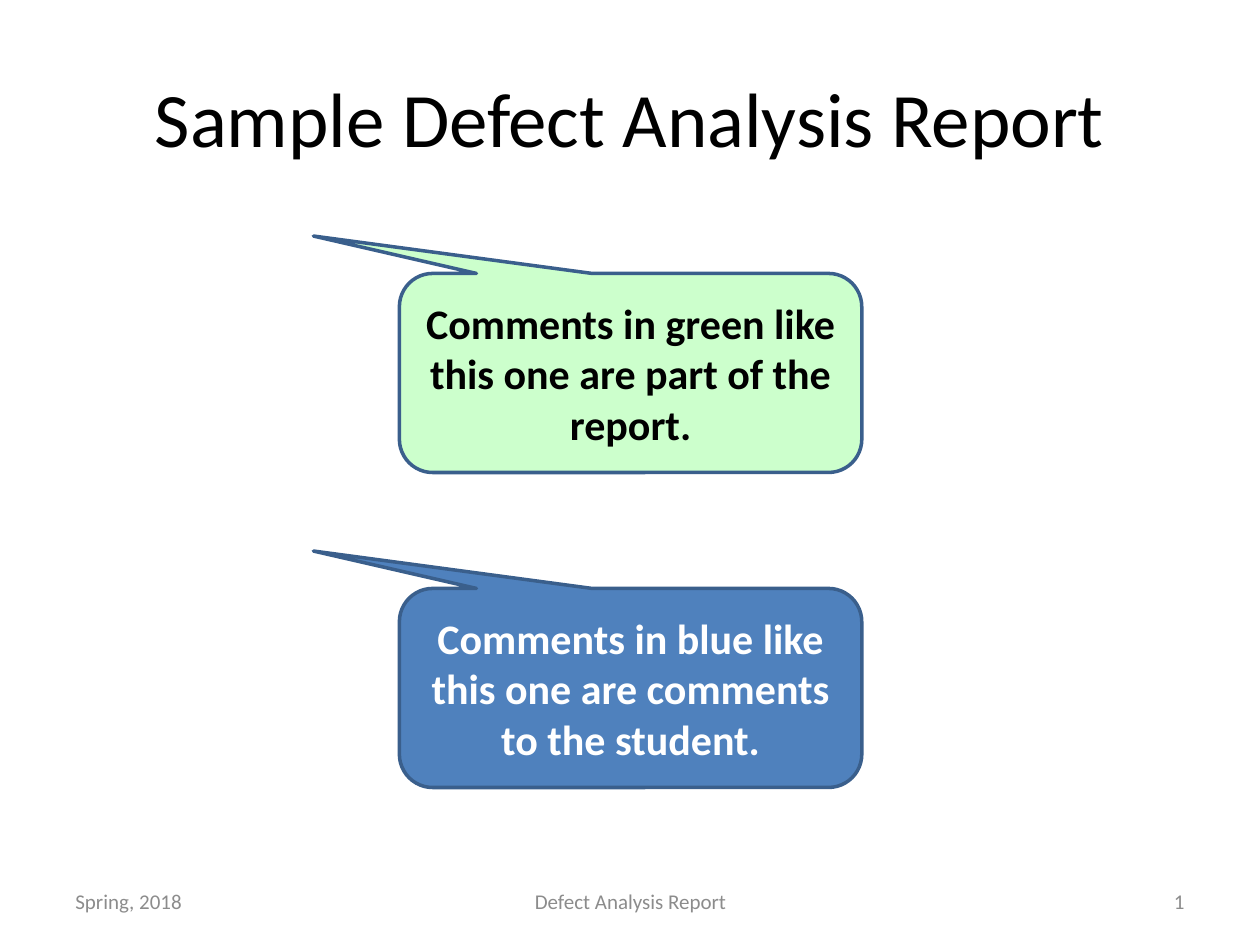
"""Build the opening slide of a sample defect analysis report."""
from dataclasses import dataclass

from pptx import Presentation
from pptx.dml.color import RGBColor
from pptx.enum.shapes import MSO_SHAPE
from pptx.enum.text import MSO_ANCHOR, PP_ALIGN
from pptx.util import Inches, Pt


@dataclass(frozen=True)
class Theme:
    font: str = "Calibri"
    black: str = "000000"
    white: str = "FFFFFF"
    gray: str = "8C8C8C"
    green: str = "CCFFCC"
    blue: str = "4F81BD"
    outline: str = "3A5F8C"
    title_size: int = 44
    callout_size: int = 24
    footer_size: int = 12


theme = Theme()


def write(shape, text, size, color, align, bold=False):
    frame = shape.text_frame
    frame.word_wrap = True
    frame.vertical_anchor = MSO_ANCHOR.MIDDLE
    paragraph = frame.paragraphs[0]
    paragraph.alignment = align
    run = paragraph.add_run()
    run.text = text
    run.font.name = theme.font
    run.font.size = Pt(size)
    run.font.bold = bold
    run.font.color.rgb = RGBColor.from_string(color)


presentation = Presentation()
presentation.slide_width = Inches(10)
presentation.slide_height = Inches(7.5)
slide = presentation.slides.add_slide(presentation.slide_layouts[5])

title = slide.shapes.title
title.left, title.top = Inches(0.5), Inches(0.3)
title.width, title.height = Inches(9), Inches(1.25)
write(title, "Sample Defect Analysis Report", theme.title_size, theme.black, PP_ALIGN.CENTER)

footers = [
    (0.5, 2.33, "Spring, 2018", PP_ALIGN.LEFT),
    (3.42, 3.17, "Defect Analysis Report", PP_ALIGN.CENTER),
    (7.17, 2.33, "1", PP_ALIGN.RIGHT),
]
for left, width, text, align in footers:
    footer = slide.shapes.add_textbox(Inches(left), Inches(6.95), Inches(width), Inches(0.4))
    write(footer, text, theme.footer_size, theme.gray, align)

callouts = [
    (4.67, theme.blue, theme.white, "Comments in blue like this one are comments to the student."),
    (2.17, theme.green, theme.black, "Comments in green like this one are part of the report."),
]
for top, fill, color, text in callouts:
    callout = slide.shapes.add_shape(
        MSO_SHAPE.ROUNDED_RECTANGULAR_CALLOUT,
        Inches(3.17), Inches(top), Inches(3.67), Inches(1.58),
    )
    for index, value in enumerate((-0.686, -0.688, 0.167)):
        callout.adjustments[index] = value
    callout.shadow.inherit = False
    callout.fill.solid()
    callout.fill.fore_color.rgb = RGBColor.from_string(fill)
    callout.line.color.rgb = RGBColor.from_string(theme.outline)
    callout.line.width = Pt(2)
    write(callout, text, theme.callout_size, color, PP_ALIGN.CENTER, bold=True)

presentation.save("out.pptx")
